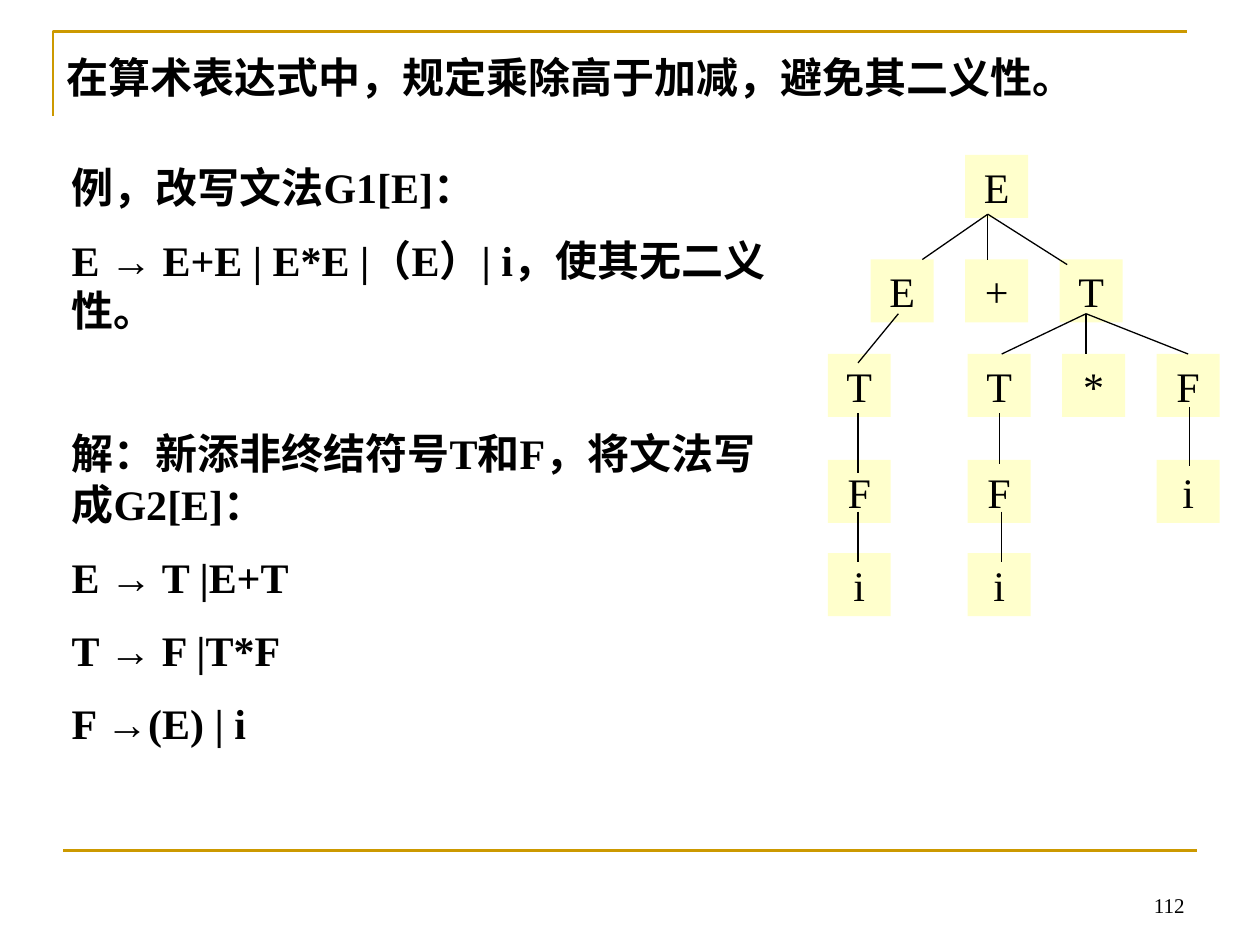
from lxml import etree
from pptx import Presentation
from pptx.dml.color import RGBColor
from pptx.enum import shapes, text
from pptx.oxml.ns import qn
from pptx.util import Inches, Pt

GOLD = RGBColor(0xCC, 0x99, 0x00)
CREAM = RGBColor(0xFF, 0xFF, 0xCC)
BLACK = RGBColor(0, 0, 0)
FONT = "Times New Roman"
NODE_SIZE = 0.5

TITLE = "在算术表达式中，规定乘除高于加减，避免其二义性。"
# Paragraphs with their space before, in points
BODY = [
    ("例，改写文法G1[E]：", 0),
    ("E → E+E | E*E |（E）| i，使其无二义性。", 13),
    ("解：新添非终结符号T和F，将文法写成G2[E]：", 53),
    ("E → T |E+T", 13),
    ("T → F |T*F", 13),
    ("F →(E) | i", 13),
]

# Rows of the parse tree: top, then (left, symbol) of each node
TREE_ROWS = [
    (1.23, [(7.66, "E")]),
    (2.06, [(6.91, "E"), (7.66, "+"), (8.41, "T")]),
    (2.81, [(6.57, "T"), (7.68, "T"), (8.43, "*"), (9.18, "F")]),
    (3.65, [(6.57, "F"), (7.68, "F"), (9.18, "i")]),
    (4.39, [(6.57, "i"), (7.68, "i")]),
]
# Branches: parent point, then the child points
BRANCHES = [
    ((7.84, 1.7), [(7.32, 2.06), (7.84, 2.06), (8.47, 2.1)]),
    ((7.13, 2.49), [(6.81, 2.88)]),
    ((8.62, 2.49), [(7.95, 2.81), (8.62, 2.81), (9.43, 2.81)]),
    ((6.81, 3.28), [(6.81, 3.75)]),
    ((7.93, 3.28), [(7.93, 3.68)]),
    ((9.44, 3.23), [(9.44, 3.7)]),
    ((6.81, 4.06), [(6.81, 4.46)]),
    ((7.95, 4.06), [(7.95, 4.46)]),
]


def write_text(sp, paragraphs, size=24, bold=False,
               align=text.PP_ALIGN.LEFT, anchor=text.MSO_ANCHOR.TOP):
    tf = sp.text_frame
    tf.word_wrap = True
    tf.vertical_anchor = anchor
    for i, (words, before) in enumerate(paragraphs):
        p = tf.paragraphs[0] if i == 0 else tf.add_paragraph()
        p.alignment = align
        p.space_before = Pt(before)
        r = p.add_run()
        r.text = words
        r.font.name = FONT
        r.font.size = Pt(size)
        r.font.bold = bold
        r.font.color.rgb = BLACK


def add_text(s, left, top, width, height, paragraphs, **style):
    sp = s.shapes.add_textbox(Inches(left), Inches(top), Inches(width), Inches(height))
    write_text(sp, paragraphs, **style)


def add_line(s, start, end, color=BLACK, width=0.75):
    points = [Inches(v) for v in (*start, *end)]
    line = s.shapes.add_connector(shapes.MSO_CONNECTOR.STRAIGHT, *points)
    line.line.color.rgb = color
    line.line.width = Pt(width)
    etree.SubElement(line._element.spPr, qn("a:effectLst"))


def add_corner(s):
    builder = s.shapes.build_freeform(Inches(0.42), Inches(0.92))
    builder.add_line_segments(
        [(Inches(0.42), Inches(0.25)), (Inches(9.42), Inches(0.25))], close=False)
    sp = builder.convert_to_shape()
    sp.fill.background()
    sp.line.color.rgb = GOLD
    sp.line.width = Pt(1.5)
    sp.shadow.inherit = False


def add_node(s, left, top, symbol):
    sp = s.shapes.add_shape(shapes.MSO_SHAPE.RECTANGLE, Inches(left), Inches(top),
                            Inches(NODE_SIZE), Inches(NODE_SIZE))
    sp.fill.solid()
    sp.fill.fore_color.rgb = CREAM
    sp.line.fill.background()
    sp.shadow.inherit = False
    write_text(sp, [(symbol, 0)], align=text.PP_ALIGN.CENTER)


def main():
    prs = Presentation()
    prs.slide_width, prs.slide_height = Inches(10), Inches(7.5)
    s = prs.slides.add_slide(prs.slide_layouts[6])

    # Frame and page number
    add_corner(s)
    add_line(s, (0.5, 6.75), (9.5, 6.75), color=GOLD, width=1.5)
    add_text(s, 7.17, 6.83, 2.33, 0.5, [("112", 0)], size=12,
             align=text.PP_ALIGN.RIGHT, anchor=text.MSO_ANCHOR.BOTTOM)

    # Title and grammar
    add_text(s, 0.43, 0.36, 9.57, 0.5, [(TITLE, 0)], bold=True)
    add_text(s, 0.47, 1.23, 5.87, 4.95, BODY, bold=True)

    # Parse tree
    for top, nodes in TREE_ROWS:
        for left, symbol in nodes:
            add_node(s, left, top, symbol)
    for parent, children in BRANCHES:
        for child in children:
            add_line(s, parent, child)

    prs.save("out.pptx")


if __name__ == "__main__":
    main()
